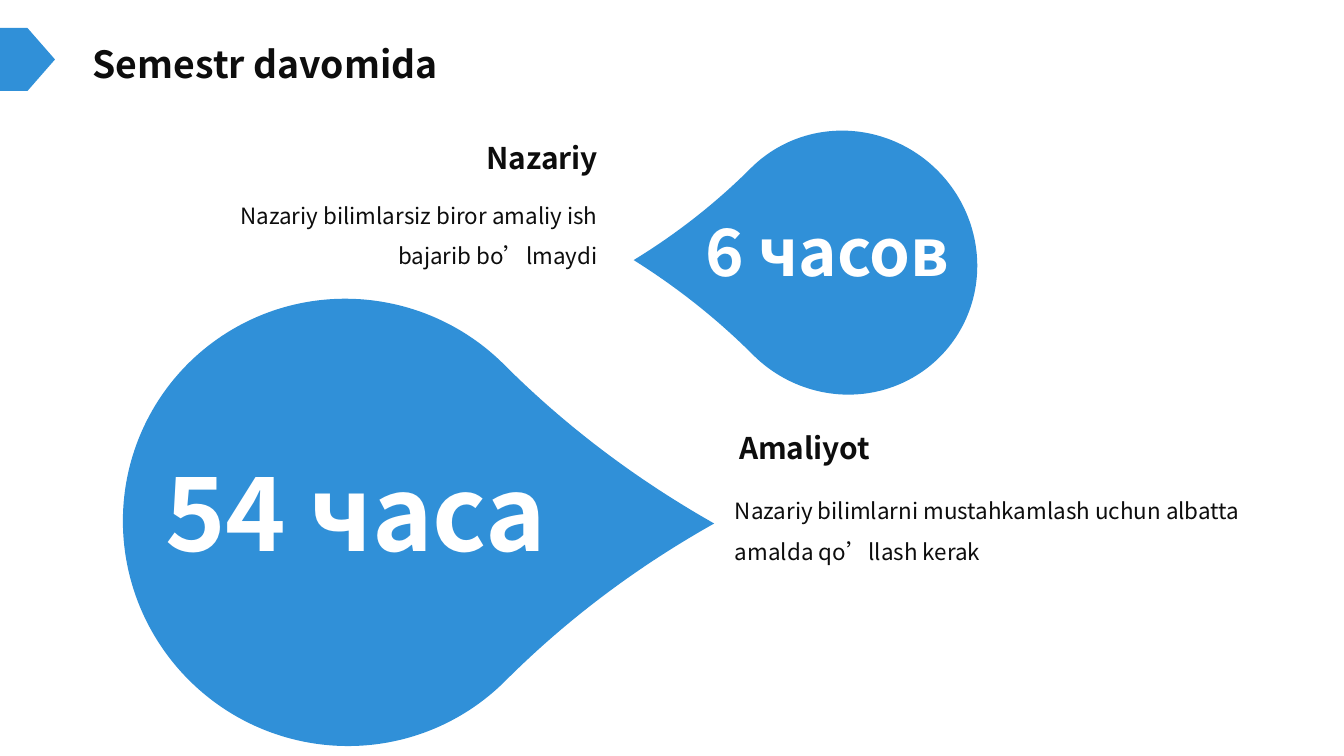
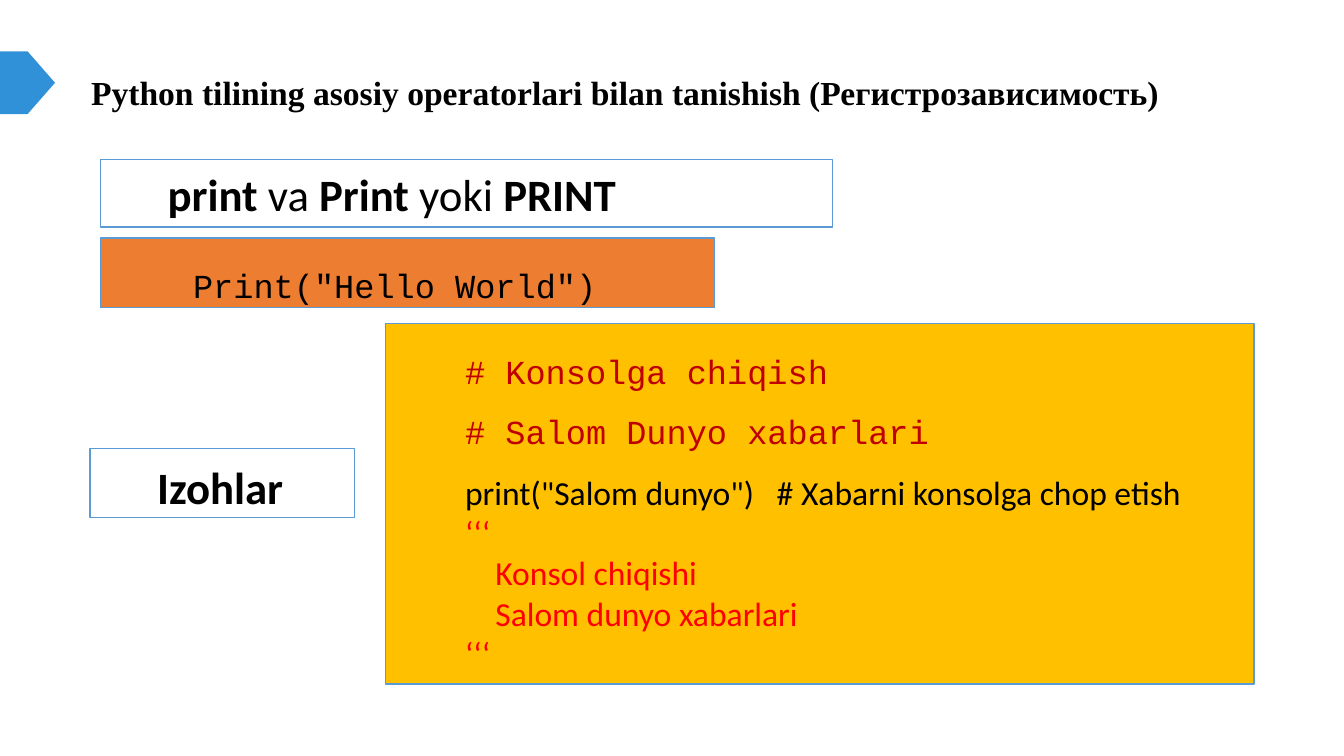
from pptx import Presentation
from pptx import util as u
from pptx.dml.color import RGBColor
from pptx.enum import shapes, text

Cm, Pt = u.Cm, u.Pt
ALIGN = text.PP_ALIGN
SHAPE = shapes.MSO_SHAPE

BLUE = RGBColor(0x30, 0x90, 0xD8)
OUTLINE = RGBColor(0x5B, 0x9B, 0xD5)
ORANGE = RGBColor(0xED, 0x7D, 0x31)
AMBER = RGBColor(0xFF, 0xC0, 0x00)
DARK_RED = RGBColor(0xC0, 0x00, 0x00)
RED = RGBColor(0xFF, 0x00, 0x00)
INK = RGBColor(0x0D, 0x0D, 0x0D)
BLACK = RGBColor(0x00, 0x00, 0x00)
WHITE = RGBColor(0xFF, 0xFF, 0xFF)

SANS, SERIF = "Noto Sans CJK SC", "Times New Roman"
BODY, MONO = "Calibri", "Courier New"
TEXT_INSETS = (0.33, 0.18)


def set_font(font, name, size, color, bold):
    font.size, font.bold = Pt(size), bold
    font.color.rgb = color
    font.name = name


def write(paragraph, content, *, name=SANS, size=12, color=INK, bold=False,
          align=ALIGN.LEFT, spacing=1.0, indent=0):
    """Fill a paragraph with a string or a list of (string, bold) runs."""
    paragraph.alignment = align
    paragraph.line_spacing = spacing
    paragraph.space_before = paragraph.space_after = Pt(0)
    if indent:
        paragraph._p.get_or_add_pPr().set("indent", str(Cm(indent)))
    pieces = [(content, bold)] if isinstance(content, str) else content
    for piece, piece_bold in pieces:
        run = paragraph.add_run()
        run.text = piece
        set_font(run.font, name, size, color, piece_bold)
        # The same face serves East Asian punctuation
        east_asian = run._r.get_or_add_rPr().makeelement(
            "{http://schemas.openxmlformats.org/drawingml/2006/main}ea",
            {"typeface": name})
        run._r.rPr.append(east_asian)


def set_frame(frame, wrap=True, insets=(0.25, 0.13), anchor=text.MSO_ANCHOR.TOP):
    frame.word_wrap = wrap
    frame.auto_size = text.MSO_AUTO_SIZE.NONE
    frame.vertical_anchor = anchor
    frame.margin_left = frame.margin_right = Cm(insets[0])
    frame.margin_top = frame.margin_bottom = Cm(insets[1])


def add_shape(slide, kind, box, fill=None, line=None):
    shape = slide.shapes.add_shape(kind, *map(Cm, box))
    shape.shadow.inherit = False
    if fill is None:
        shape.fill.background()
    else:
        shape.fill.solid()
        shape.fill.fore_color.rgb = fill
    if line is None:
        shape.line.fill.background()
    else:
        shape.line.color.rgb = line
        shape.line.width = Pt(0.75)
    return shape


def add_text(slide, box, content, wrap=True, insets=TEXT_INSETS, **style):
    frame = slide.shapes.add_textbox(*map(Cm, box)).text_frame
    set_frame(frame, wrap, insets)
    write(frame.paragraphs[0], content, **style)


def add_titled_slide(presentation, title, box, marker_top, **style):
    """Title-only slide with the blue marker at the left edge."""
    slide = presentation.slides.add_slide(presentation.slide_layouts[5])
    add_shape(slide, SHAPE.PENTAGON, (0, marker_top, 1.04, 1.19), BLUE)
    placeholder = slide.shapes.title
    placeholder.left, placeholder.top, placeholder.width, placeholder.height = map(Cm, box)
    set_frame(placeholder.text_frame, wrap=False)
    write(placeholder.text_frame.paragraphs[0], title, bold=True, **style)
    return slide


def add_drop(slide, box, rotation, point, flipped=False):
    drop = add_shape(slide, SHAPE.TEAR, box, BLUE)
    drop.adjustments[0] = point
    drop.rotation = rotation
    if flipped:
        drop._element.spPr.xfrm.set("flipH", "1")


def add_topic(slide, heading_box, heading, body_box, body, heading_align, body_align):
    add_text(slide, body_box, body, align=body_align, spacing=1.5)
    add_text(slide, heading_box, heading, size=16, bold=True,
             align=heading_align, spacing=Pt(16))


def add_panel(slide, box, lines, fill=None):
    """Outlined rectangle holding (content, style) lines."""
    panel = add_shape(slide, SHAPE.RECTANGLE, box, fill, OUTLINE)
    frame = panel.text_frame
    set_frame(frame)
    for index, (content, style) in enumerate(lines):
        paragraph = frame.add_paragraph() if index else frame.paragraphs[0]
        write(paragraph, content, **style)


def build_hours(presentation):
    slide = add_titled_slide(presentation, "Semestr davomida",
                             (1.5, 0.64, 7.16, 1.12), 0.53, size=20)
    # Drops with the hours
    add_drop(slide, (13.51, 2.44, 4.93, 5.05), 315, 1.133, flipped=True)
    add_drop(slide, (2.31, 5.66, 8.48, 8.43), 45, 1.162)
    hours = dict(color=WHITE, bold=True, insets=(0.25, 0.13))
    add_text(slide, (13.08, 3.86, 5.41, 1.75), "6 часов", wrap=False, size=35, **hours)
    add_text(slide, (2.87, 8.36, 8.15, 2.62), "54 часа", size=55, **hours)
    # Explanations
    add_topic(slide, (7.62, 2.57, 4.01, 0.91), "Nazariy", (2.87, 3.38, 8.76, 1.88),
              "Nazariy bilimlarsiz biror amaliy ish bajarib bo’lmaydi",
              ALIGN.RIGHT, ALIGN.RIGHT)
    add_topic(slide, (13.64, 8.05, 4.7, 0.91), "Amaliyot", (13.56, 8.97, 10.46, 1.88),
              "Nazariy bilimlarni mustahkamlash uchun albatta amalda qo’llash kerak",
              ALIGN.JUSTIFY, ALIGN.LEFT)


def build_operators(presentation):
    slide = add_titled_slide(
        presentation,
        "Python tilining asosiy operatorlari bilan tanishish (Регистрозависимость)",
        (1.37, 0.84, 20.9, 2.18), 0.97,
        name=SERIF, size=18, color=BLACK, align=ALIGN.CENTER, spacing=1.5)
    # Labels
    label = dict(name=BODY, size=24, color=BLACK, align=ALIGN.JUSTIFY, indent=1.02)
    names = [("print", True), (" va ", False), ("Print ", True),
             ("yoki ", False), ("PRINT", True)]
    add_panel(slide, (1.9, 3.02, 13.84, 1.27), [(names, label)])
    add_panel(slide, (1.7, 8.48, 5, 1.3),
              [("Izohlar", dict(label, bold=True, spacing=1.07))])
    # Code samples
    code = dict(name=MONO, size=18, color=BLACK, spacing=1.5, indent=1.5)
    add_panel(slide, (1.9, 4.5, 11.61, 1.32),
              [('Print("Hello World")', code)], ORANGE)
    code["indent"] = 1.25
    comment = dict(code, color=DARK_RED)
    block = dict(code, name=BODY, color=RED, spacing=1.0)
    add_panel(slide, (7.29, 6.12, 16.41, 6.81), [
        ("# Konsolga chiqish", comment),
        ("# Salom Dunyo xabarlari", comment),
        ('print("Salom dunyo")   # Xabarni konsolga chop etish', dict(code, name=BODY)),
        ("‘‘‘", block),
        ("    Konsol chiqishi", block),
        ("    Salom dunyo xabarlari", block),
        ("‘‘‘", block),
    ], AMBER)


def main():
    presentation = Presentation()
    presentation.slide_width, presentation.slide_height = Cm(25.4), Cm(14.29)
    build_hours(presentation)
    build_operators(presentation)
    presentation.save("out.pptx")


if __name__ == "__main__":
    main()
